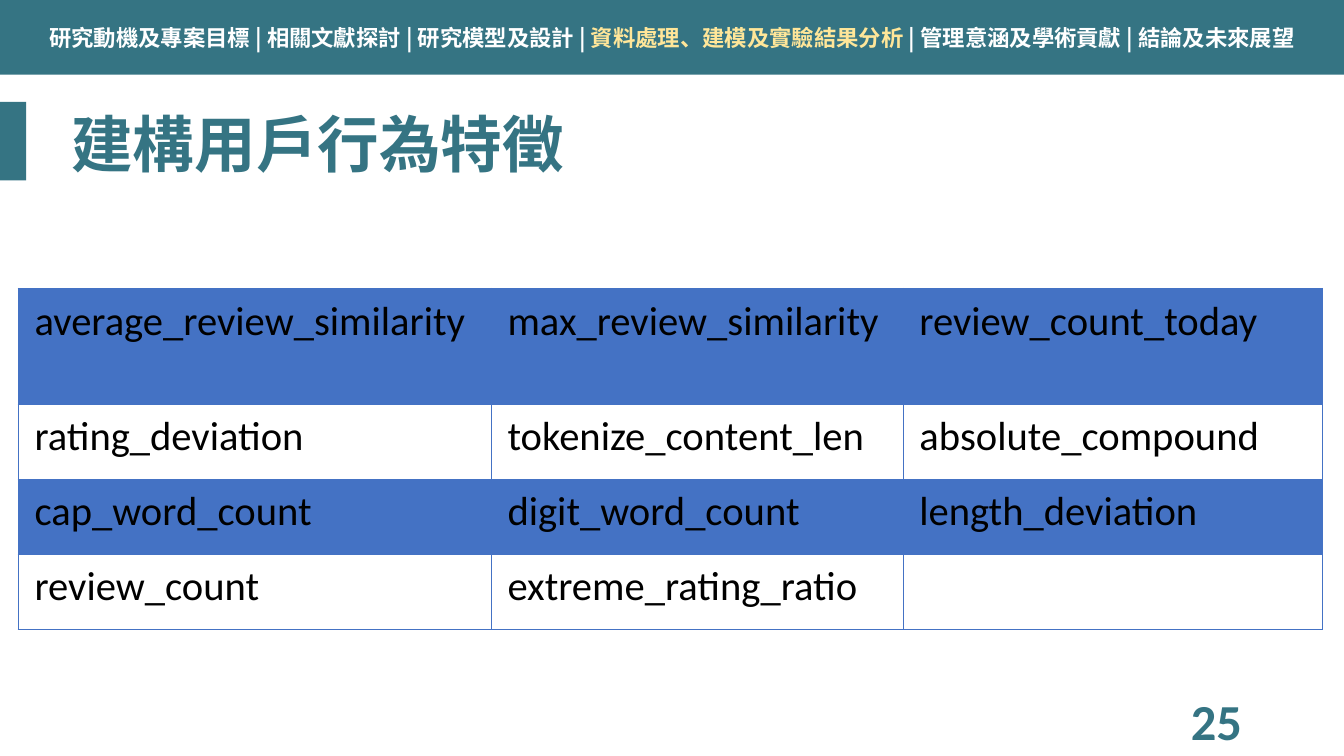
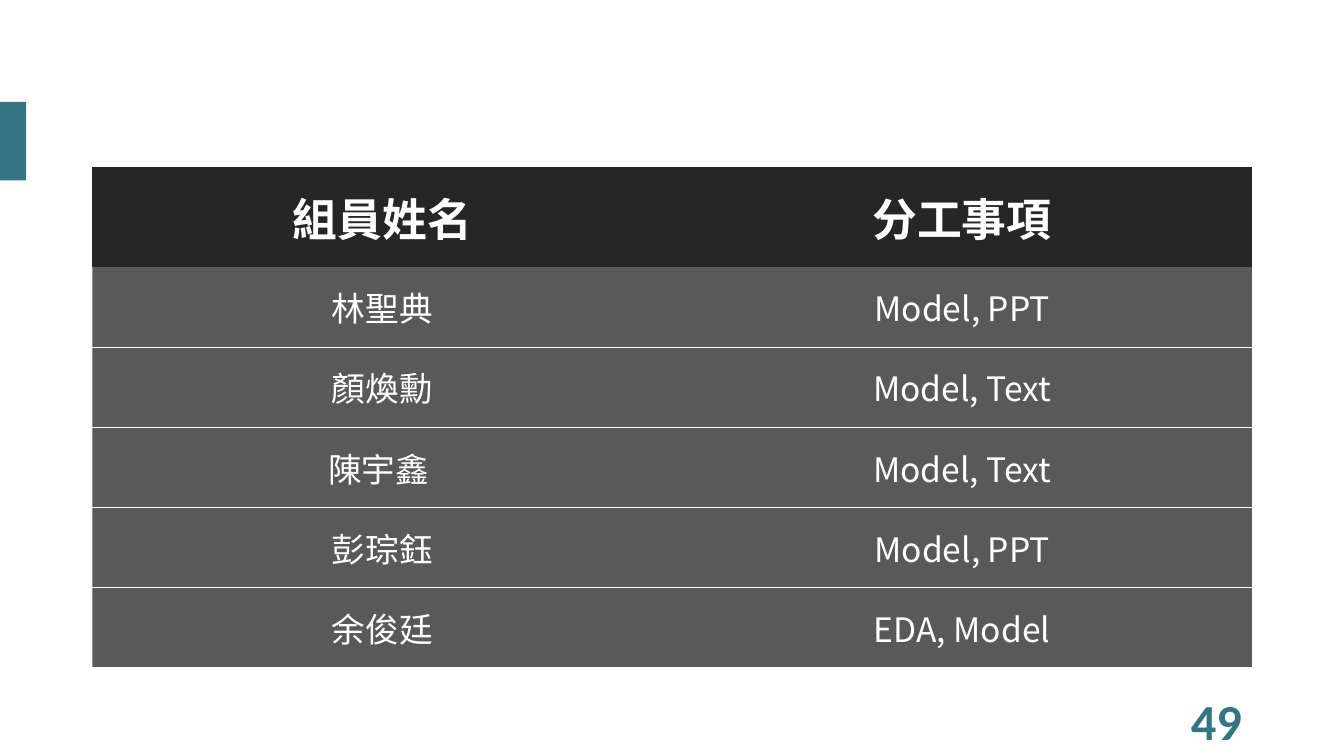
import pptx
import pptx.util
import pptx.oxml
import pptx.oxml.ns
import pptx.dml.color
import pptx.enum.shapes
import pptx.enum.text

Cm = pptx.util.Cm
Pt = pptx.util.Pt
ALIGN = pptx.enum.text.PP_ALIGN
MID = pptx.enum.text.MSO_ANCHOR.MIDDLE
TOP = pptx.enum.text.MSO_ANCHOR.TOP
RECT = pptx.enum.shapes.MSO_SHAPE.RECTANGLE
PLAIN = "{2D5ABB26-0587-4C30-8999-92F81FD0307C}"
CJK = "Noto Sans CJK SC"
LATIN = "Calibri"
WIDE, HIGH = 33.87, 19.05

HUES = {
    "teal": "357483",
    "gold": "FFE699",
    "white": "FFFFFF",
    "black": "000000",
    "blue": "4472C4",
    "head": "262626",
}

PARTS = [
    "研究動機及專案目標",
    "相關文獻探討",
    "研究模型及設計",
    "資料處理、建模及實驗結果分析",
    "管理意涵及學術貢獻",
    "結論及未來展望",
]

TRAITS = [
    ["average_review_similarity", "max_review_similarity", "review_count_today"],
    ["rating_deviation", "tokenize_content_len", "absolute_compound"],
    ["cap_word_count", "digit_word_count", "length_deviation"],
    ["review_count", "extreme_rating_ratio", ""],
]

TEAM = [
    ["組員姓名", "分工事項"],
    ["林聖典", "Model, PPT"],
    ["顏煥勳", "Model, Text"],
    ["陳宇鑫 ", "Model, Text"],
    ["彭琮鈺", "Model, PPT"],
    ["余俊廷", "EDA, Model"],
]


def hue(name):
    return pptx.dml.color.RGBColor.from_string(HUES[name])


def sub(node, tag, **attrs):
    child = node.makeelement(pptx.oxml.ns.qn(tag), attrs)
    node.append(child)
    return child


class Deck:
    def __init__(self):
        self.prs = pptx.Presentation()
        self.prs.slide_width = Cm(WIDE)
        self.prs.slide_height = Cm(HIGH)
        self.slide = None

    def page(self, number):
        self.slide = self.prs.slides.add_slide(self.prs.slide_layouts[6])
        self.box(0, 2.57, 0.66, 1.98, "teal")
        self.label(23.93, 17.65, 7.62, 1.02, str(number), 36, LATIN, ALIGN.RIGHT)

    def paint(self, fill, color, alpha=100):
        fill.solid()
        fill.fore_color.rgb = hue(color)
        if alpha < 100:
            node = fill._xPr.find(".//" + pptx.oxml.ns.qn("a:srgbClr"))
            sub(node, "a:alpha", val=str(alpha * 1000))

    def box(self, x, y, w, h, color, alpha=100):
        shape = self.slide.shapes.add_shape(RECT, Cm(x), Cm(y), Cm(w), Cm(h))
        shape.shadow.inherit = False
        shape.line.fill.background()
        self.paint(shape.fill, color, alpha)
        return shape

    def put(self, para, text, size, face, color, bold=False):
        run = para.add_run()
        run.text = text
        font = run.font
        font.size = Pt(size)
        font.bold = bold
        font.color.rgb = hue(color)
        font.name = face
        sub(run._r.get_or_add_rPr(), "a:ea", typeface=face)

    def label(self, x, y, w, h, text, size, face, align):
        frame = self.slide.shapes.add_textbox(Cm(x), Cm(y), Cm(w), Cm(h)).text_frame
        frame.word_wrap = True
        frame.vertical_anchor = MID
        para = frame.paragraphs[0]
        para.alignment = align
        self.put(para, text, size, face, "teal", True)
        return para

    def title(self, text):
        para = self.label(1.55, 1.88, 30.78, 3.68, text, 44, CJK, ALIGN.LEFT)
        para.line_spacing = 0.9

    def nav(self, active):
        frame = self.box(0, 0, WIDE, 1.88, "teal").text_frame
        frame.vertical_anchor = MID
        para = frame.paragraphs[0]
        para.alignment = ALIGN.CENTER
        for i, part in enumerate(PARTS):
            if i:
                self.put(para, " | ", 16, CJK, "white", True)
            color = "gold" if i == active else "white"
            self.put(para, part, 16, CJK, color, True)

    def grid(self, x, y, cols, rows):
        table = self.slide.shapes.add_table(
            len(rows), len(cols), Cm(x), Cm(y), Cm(sum(cols)), Cm(sum(rows))
        ).table
        table._tbl.tblPr.find(pptx.oxml.ns.qn("a:tableStyleId")).text = PLAIN
        for col, w in zip(table.columns, cols):
            col.width = Cm(w)
        for row, h in zip(table.rows, rows):
            row.height = Cm(h)
        return table

    def cell(self, cell, text, size, face, color, bold=False,
             align=ALIGN.LEFT, anchor=TOP):
        cell.vertical_anchor = anchor
        para = cell.text_frame.paragraphs[0]
        para.alignment = align
        if text:
            self.put(para, text, size, face, color, bold)

    def edge(self, cell, sides, color):
        props = cell._tc.get_or_add_tcPr()
        for side in sides:
            line = sub(props, "a:ln" + side, w=str(Pt(1)))
            sub(sub(line, "a:solidFill"), "a:srgbClr", val=HUES[color])

    def traits(self):
        table = self.grid(0.46, 7.27, [11.92, 10.38, 10.56], [2.92] + [1.89] * 3)
        for r, row in enumerate(TRAITS):
            for c, text in enumerate(row):
                cell = table.cell(r, c)
                cell.margin_left = cell.margin_right = Cm(0.41)
                cell.margin_top = cell.margin_bottom = Cm(0.2)
                self.cell(cell, text, 29, LATIN, "black")
                self.edge(cell, "LRTB", "blue")
                if r % 2 == 0:
                    self.paint(cell.fill, "blue", 20)
                else:
                    cell.fill.background()

    def team(self):
        x, y, wide = 2.33, 4.21, 29.22
        rows = [2.52] + [2.02] * 5
        self.box(x, y, wide, sum(rows), "black", 65)
        table = self.grid(x, y, [wide / 2] * 2, rows)
        for r, row in enumerate(TEAM):
            head = r == 0
            for c, text in enumerate(row):
                cell = table.cell(r, c)
                self.cell(cell, text, 32 if head else 24, CJK, "white",
                          head, ALIGN.CENTER, MID)
                if head:
                    self.paint(cell.fill, "head")
                else:
                    self.edge(cell, "B", "white")
                    cell.fill.background()


def main():
    deck = Deck()
    deck.page(25)
    deck.title("建構用戶行為特徵")
    deck.nav(3)
    deck.traits()
    deck.page(49)
    deck.team()
    deck.prs.save("out.pptx")


if __name__ == "__main__":
    main()
